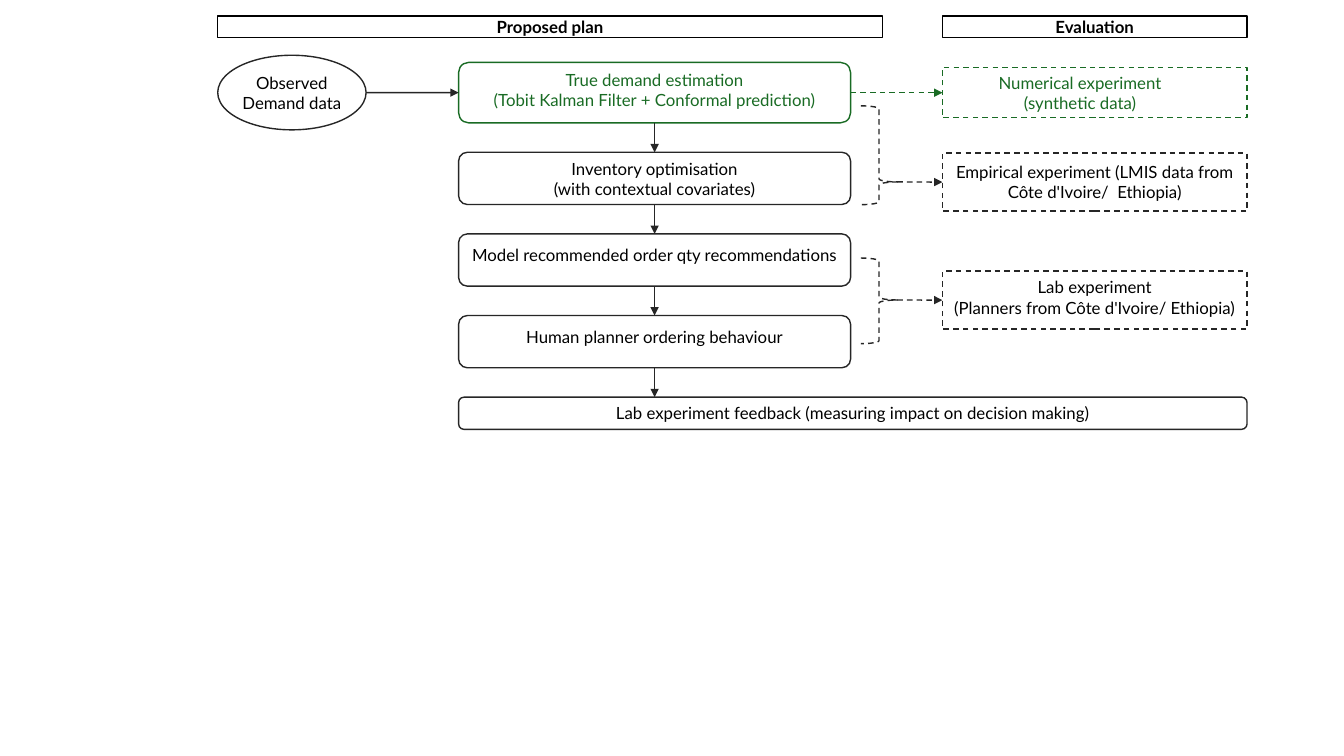
"""Build the research plan flowchart slide: planning stages and their evaluation."""
from dataclasses import dataclass
from itertools import pairwise
from typing import Optional

from lxml.etree import SubElement
from pptx import Presentation
from pptx.dml.color import RGBColor
from pptx.enum.dml import MSO_LINE
from pptx.enum.shapes import MSO_CONNECTOR, MSO_SHAPE as Geometry
from pptx.enum.text import MSO_ANCHOR, PP_ALIGN
from pptx.oxml.ns import qn
from pptx.shapes.autoshape import Shape
from pptx.shapes.connector import Connector
from pptx.shapes.shapetree import SlideShapes
from pptx.util import Pt

COLORS = {"ink": "262626", "green": "196B24", "black": "000000"}
FONT = "Lato"
TOP, LEFT, BOTTOM, RIGHT = range(4)

PLAN_LEFT = 155.5
STAGE_LEFT, STAGE_WIDTH, STAGE_GAP = 327.6, 280, 21
EVAL_LEFT, EVAL_WIDTH = 673.2, 217.6
BRACE_LEFT, BRACE_WIDTH = 614.9, 26


@dataclass(frozen=True)
class Node:
    lines: tuple[str, ...]
    left: float
    top: float
    width: float
    height: float
    geometry: Geometry = Geometry.ROUNDED_RECTANGLE
    outline: str = "ink"
    text_color: str = "black"
    dashed: bool = False
    bold: bool = False
    inset_right: float = 0
    inset_bottom: float = 0

    @property
    def middle(self) -> float:
        return self.top + self.height / 2


@dataclass(frozen=True)
class Stage:
    lines: tuple[str, ...]
    height: float = 37.3
    width: float = STAGE_WIDTH
    inset_bottom: float = 0
    outline: str = "ink"
    text_color: str = "black"


@dataclass(frozen=True)
class Brace:
    top: float
    height: float
    tip: float


HEADERS = [
    Node((title,), left, 11.5, width, 15.4, Geometry.RECTANGLE, "black", bold=True)
    for title, left, width in (
        ("Proposed plan", PLAN_LEFT, 474.8),
        ("Evaluation", EVAL_LEFT, EVAL_WIDTH),
    )
]
OBSERVED = Node(("Observed", "Demand data"), PLAN_LEFT, 39.5, 106, 53.3, Geometry.OVAL)
STAGES = [
    Stage(("True demand estimation", "(Tobit Kalman Filter + Conformal prediction)"),
          43.2, inset_bottom=4, outline="green", text_color="green"),
    Stage(("Inventory optimisation", "(with contextual covariates)")),
    Stage(("Model recommended order qty recommendations",), inset_bottom=7),
    Stage(("Human planner ordering behaviour",), inset_bottom=7),
    Stage(("Lab experiment feedback (measuring impact on decision making)",),
          23, EVAL_LEFT + EVAL_WIDTH - STAGE_LEFT),
]
NUMERICAL = Node(("Numerical experiment", "(synthetic data)"),
                 EVAL_LEFT, 48.2, EVAL_WIDTH, 36, Geometry.RECTANGLE,
                 "green", "green", dashed=True, inset_right=21)
EMPIRICAL = Node(("Empirical experiment (LMIS data from", "Côte d'Ivoire/  Ethiopia)"),
                 EVAL_LEFT, 109.4, EVAL_WIDTH, 41.4, Geometry.RECTANGLE, dashed=True)
LAB = Node(("Lab experiment", "(Planners from Côte d'Ivoire/ Ethiopia)"),
           EVAL_LEFT, 193.7, EVAL_WIDTH, 41.4, Geometry.RECTANGLE,
           dashed=True, inset_bottom=4)
BRACED = [(Brace(75.6, 70.6, 0.77), EMPIRICAL), (Brace(184.3, 61.2, 0.49), LAB)]


def stack_stages(stages: list[Stage], top: float) -> list[Node]:
    """Place the stages below one another with equal gaps."""
    nodes = []
    for stage in stages:
        nodes.append(Node(stage.lines, STAGE_LEFT, top, stage.width, stage.height,
                          outline=stage.outline, text_color=stage.text_color,
                          inset_bottom=stage.inset_bottom))
        top += stage.height + STAGE_GAP
    return nodes


def style_line(item: Shape | Connector, color: str, dashed: bool) -> None:
    """Give an outline or connector its colour, width and dash."""
    item.line.color.rgb = RGBColor.from_string(COLORS[color])
    item.line.width = Pt(1)
    if dashed:
        item.line.dash_style = MSO_LINE.DASH


def write_text(shape: Shape, lines: tuple[str, ...], *, color: str = "black",
               bold: bool = False, right: float = 0, bottom: float = 0) -> None:
    """Write centred lines, one paragraph each."""
    frame = shape.text_frame
    frame.word_wrap = True
    frame.vertical_anchor = MSO_ANCHOR.MIDDLE
    frame.margin_left = frame.margin_top = 0
    frame.margin_right, frame.margin_bottom = Pt(right), Pt(bottom)
    frame.text = "\n".join(lines)
    for paragraph in frame.paragraphs:
        paragraph.alignment = PP_ALIGN.CENTER
        for run in paragraph.runs:
            run.font.name = FONT
            run.font.size = Pt(12)
            run.font.bold = bold
            run.font.color.rgb = RGBColor.from_string(COLORS[color])


def add_outline(shapes: SlideShapes, geometry: Geometry, left: float, top: float,
                width: float, height: float, color: str, dashed: bool) -> Shape:
    """Add an unfilled shape."""
    shape = shapes.add_shape(geometry, Pt(left), Pt(top), Pt(width), Pt(height))
    shape.shadow.inherit = False
    shape.fill.background()
    style_line(shape, color, dashed)
    return shape


def add_node(shapes: SlideShapes, node: Node) -> Shape:
    """Add a labelled node."""
    shape = add_outline(shapes, node.geometry, node.left, node.top, node.width,
                        node.height, node.outline, node.dashed)
    write_text(shape, node.lines, color=node.text_color, bold=node.bold,
               right=node.inset_right, bottom=node.inset_bottom)
    return shape


def add_brace(shapes: SlideShapes, brace: Brace) -> None:
    """Add a dashed brace that gathers two stages."""
    shape = add_outline(shapes, Geometry.RIGHT_BRACE, BRACE_LEFT, brace.top,
                        BRACE_WIDTH, brace.height, "ink", True)
    shape.adjustments[1] = brace.tip


def add_arrow(shapes: SlideShapes, start: tuple[float, float], end: tuple[float, float],
              *, source: Optional[tuple[Shape, int]] = None,
              target: Optional[tuple[Shape, int]] = None,
              color: str = "ink", dashed: bool = False) -> None:
    """Add an arrow, joined to the given shape sides."""
    arrow = shapes.add_connector(MSO_CONNECTOR.STRAIGHT, *map(Pt, start + end))
    if source:
        arrow.begin_connect(*source)
    if target:
        arrow.end_connect(*target)
    style_line(arrow, color, dashed)
    SubElement(arrow.line._get_or_add_ln(), qn("a:tailEnd"), type="triangle")
    SubElement(arrow._element.spPr, qn("a:effectLst"))


def main() -> None:
    """Draw the slide and save it."""
    deck = Presentation()
    deck.slide_width, deck.slide_height = Pt(960), Pt(540)
    shapes = deck.slides.add_slide(deck.slide_layouts[6]).shapes

    stages = stack_stages(STAGES, 44.6)
    drawn = {node: add_node(shapes, node)
             for node in (*HEADERS, OBSERVED, *stages, NUMERICAL, EMPIRICAL, LAB)}

    estimation, feedback = stages[0], stages[-1]
    add_arrow(shapes, (OBSERVED.left + OBSERVED.width, OBSERVED.middle),
              (STAGE_LEFT, estimation.middle), target=(drawn[estimation], LEFT))
    add_arrow(shapes, (STAGE_LEFT + STAGE_WIDTH, estimation.middle),
              (EVAL_LEFT, NUMERICAL.middle), source=(drawn[estimation], RIGHT),
              target=(drawn[NUMERICAL], LEFT), color="green", dashed=True)

    center = STAGE_LEFT + STAGE_WIDTH / 2
    for upper, lower in pairwise(stages):
        add_arrow(shapes, (center, upper.top + upper.height), (center, lower.top),
                  source=(drawn[upper], BOTTOM),
                  target=None if lower is feedback else (drawn[lower], TOP))

    for brace, experiment in BRACED:
        add_brace(shapes, brace)
        add_arrow(shapes, (BRACE_LEFT + BRACE_WIDTH, brace.top + brace.height * brace.tip),
                  (EVAL_LEFT, experiment.middle),
                  target=(drawn[experiment], LEFT), dashed=True)

    deck.save("out.pptx")


if __name__ == "__main__":
    main()
